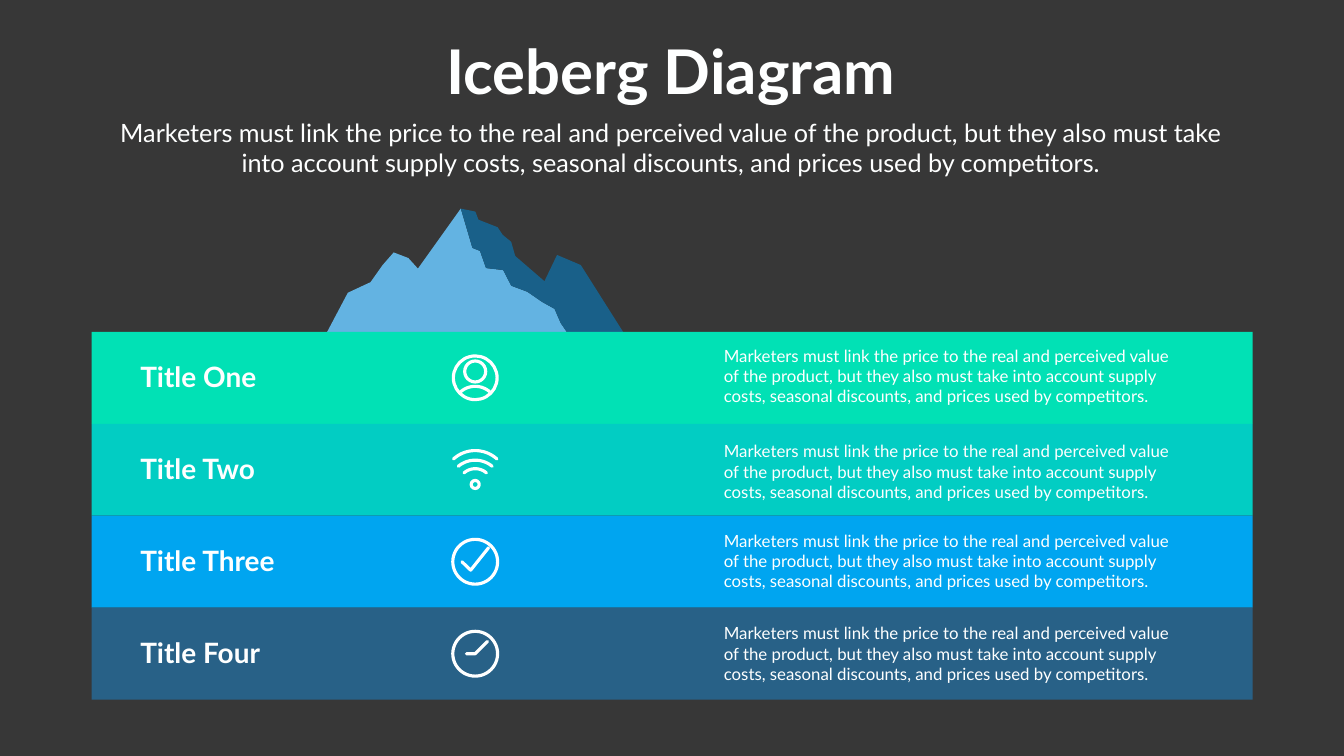
import math

from lxml import etree
from pptx import Presentation
from pptx.dml.color import RGBColor
from pptx.enum.shapes import MSO_SHAPE
from pptx.enum.text import MSO_AUTO_SIZE, PP_ALIGN
from pptx.oxml.ns import qn
from pptx.util import Pt

RECTANGLE, OVAL = MSO_SHAPE.RECTANGLE, MSO_SHAPE.OVAL
LEFT, CENTER = PP_ALIGN.LEFT, PP_ALIGN.CENTER
GROW = MSO_AUTO_SIZE.SHAPE_TO_FIT_TEXT

FONT = "Lato"
WHITE, TEXT_WHITE = "FFFFFF", "FEFFFF"
BACKGROUND, LIT_ICE, SHADED_ICE = "373737", "63B3E2", "196089"
STROKE = 4.5

BLURB = ("Marketers must link the price to the real and perceived value of the "
         "product, but they also must take into account supply costs, seasonal "
         "discounts, and prices used by competitors.")

# Iceberg outlines, measured from the top left of the iceberg's box
RIDGE = [(190.8, 0), (207.4, 56.2), (218.2, 60.5), (226.8, 85), (251.3, 87.8),
         (262.8, 110.2), (285.8, 118.8), (306.7, 133.2), (324.7, 143.3),
         (333.4, 163.4), (342, 176)]
LIT_SLOPE = [(0, 176), (29.5, 120.2), (61.9, 105.1), (79.2, 80.6), (95, 62.6),
             (115.9, 70.6), (129.6, 85.7)]
SHADED_SLOPE = [(422.6, 176), (362.2, 80.6), (328.3, 66.2), (310.3, 103.7),
                (268.6, 67.7), (262.8, 47.5), (250.6, 37.4), (243.4, 26.6),
                (216, 15.8), (211.7, 4.3)]


def rgb(value):
    return RGBColor.from_string(value)


def paint(shape, color):
    shape.shadow.inherit = False
    shape.fill.solid()
    shape.fill.fore_color.rgb = rgb(color)
    shape.line.fill.background()


def outline(shape):
    """Leave only a white line with round ends."""
    shape.shadow.inherit = False
    shape.fill.background()
    shape.line.color.rgb = rgb(WHITE)
    shape.line.width = Pt(STROKE)
    line = shape.line._get_or_add_ln()
    line.set("cap", "rnd")
    etree.SubElement(line, qn("a:round"))


def add_path(slide, left, top, points, close):
    placed = [(Pt(left + x), Pt(top + y)) for x, y in points]
    builder = slide.shapes.build_freeform(*placed[0])
    builder.add_line_segments(placed[1:], close=close)
    return builder.convert_to_shape()


def add_stroke(slide, cx, cy, points):
    outline(add_path(slide, cx, cy, points, False))


def add_ring(slide, cx, cy, diameter):
    radius = diameter / 2
    outline(slide.shapes.add_shape(OVAL, Pt(cx - radius), Pt(cy - radius),
                                   Pt(diameter), Pt(diameter)))


def add_arch(slide, cx, crown, half_width, rise):
    """Draw a circular arc whose highest point is (cx, crown)."""
    radius = (half_width ** 2 + rise ** 2) / (2 * rise)
    spread = math.asin(half_width / radius)
    angles = [spread * step / 12 for step in range(-12, 13)]
    add_stroke(slide, cx, crown, [(radius * math.sin(a), radius * (1 - math.cos(a)))
                                  for a in angles])


def add_text(slide, left, top, width, height, text, size,
             bold=False, align=LEFT, wrap=True):
    frame = slide.shapes.add_textbox(Pt(left), Pt(top), Pt(width), Pt(height)).text_frame
    frame.word_wrap = wrap
    frame.auto_size = GROW
    frame.text = text
    paragraph = frame.paragraphs[0]
    paragraph.alignment = align
    font = paragraph.runs[0].font
    font.name, font.size, font.bold = FONT, Pt(size), bold
    font.color.rgb = rgb(TEXT_WHITE)


def person_icon(slide, cx, cy):
    add_ring(slide, cx, cy, 62.5)
    add_ring(slide, cx, cy - 9, 30)
    add_arch(slide, cx, cy + 12.2, 20.5, 7.5)


def wifi_icon(slide, cx, cy):
    for crown, half_width, rise in [(-27.4, 31, 12), (-13.7, 24.2, 8.7), (-1.5, 16, 6)]:
        add_arch(slide, cx, cy + crown, half_width, rise)
    add_ring(slide, cx, cy + 21, 11.5)


def check_icon(slide, cx, cy):
    add_ring(slide, cx, cy, 64)
    add_stroke(slide, cx, cy, [(-19, 0), (-6.5, 12), (19, -20)])


def clock_icon(slide, cx, cy):
    add_ring(slide, cx, cy, 64)
    add_stroke(slide, cx, cy, [(-12.5, 0), (0, 0), (17.5, -17.5)])


def add_heading(slide, left, top, width):
    add_text(slide, left, top, width, 113.8, "Iceberg Diagram", 88, True, CENTER, False)
    add_text(slide, left, top + 119.5, width, 94.3, BLURB, 36, align=CENTER)


def add_iceberg(slide, left, top):
    paint(add_path(slide, left, top, LIT_SLOPE + RIDGE, True), LIT_ICE)
    paint(add_path(slide, left, top, RIDGE + SHADED_SLOPE, True), SHADED_ICE)


def add_band(slide, left, top, width, height, color, title, draw_icon, blurb_drop):
    band = slide.shapes.add_shape(RECTANGLE, Pt(left), Pt(top), Pt(width), Pt(height))
    paint(band, color)
    add_text(slide, left + 62.3, top + 36.2, 218, 55.4, title, 40, True)
    draw_icon(slide, left + 547.7, top + height / 2)
    add_text(slide, left + 895.7, top + blurb_drop, 655.2, 94.3, BLURB, 24)


def main():
    deck = Presentation()
    deck.slide_width, deck.slide_height = Pt(1919.52), Pt(1080)
    slide = deck.slides.add_slide(deck.slide_layouts[6])
    slide.background.fill.solid()
    slide.background.fill.fore_color.rgb = rgb(BACKGROUND)

    waterline, band_height = 474, 131.4
    bands = [("01E1B5", "Title One", person_icon, 16.5),
             ("02CDC3", "Title Two", wifi_icon, 21.2),
             ("00A5F0", "Title Three", check_icon, 18),
             ("286187", "Title Four", clock_icon, 18.4)]
    add_iceberg(slide, 467.3, waterline - 176)
    for row, band in enumerate(bands):
        add_band(slide, 131, waterline + row * band_height, 1658, band_height, *band)
    add_heading(slide, 158.4, 44, 1599)
    deck.save("out.pptx")


if __name__ == "__main__":
    main()
